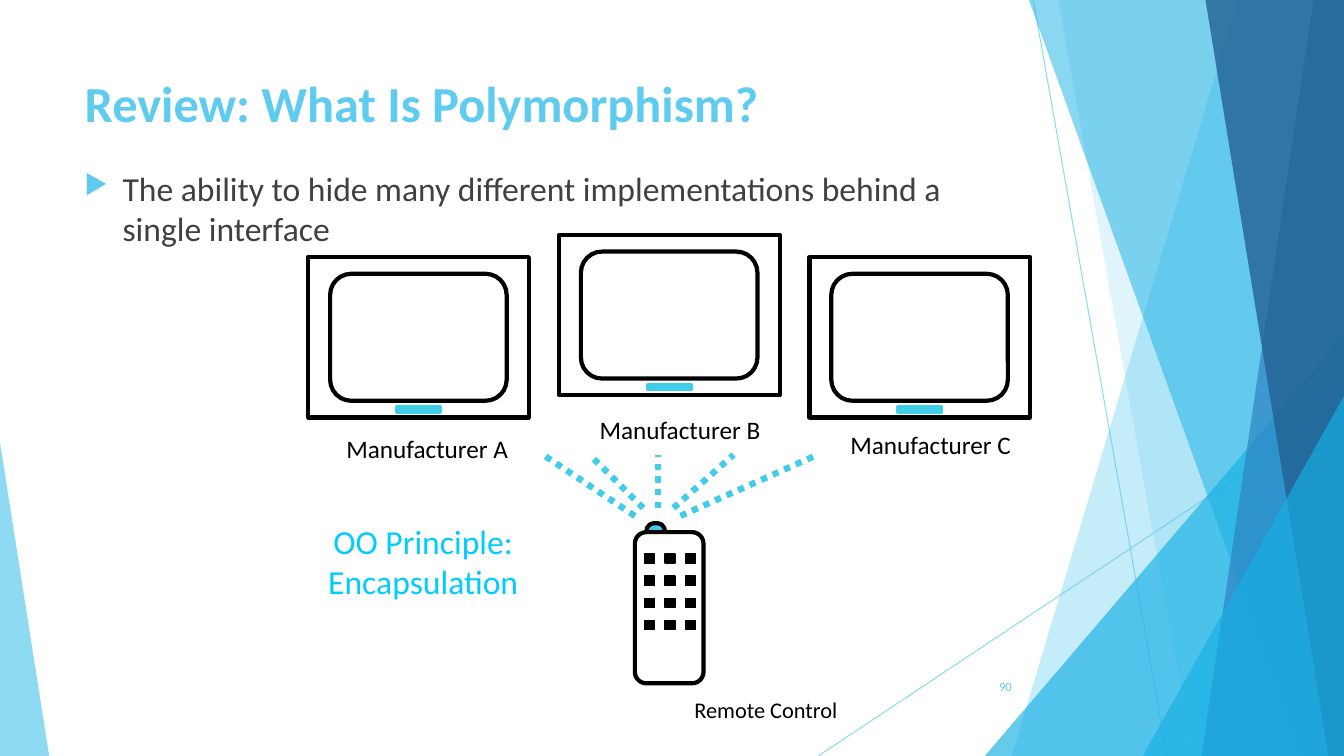
from lxml import etree
from pptx import Presentation
from pptx.dml.color import RGBColor
from pptx.enum.dml import MSO_LINE
from pptx.enum.shapes import MSO_CONNECTOR, MSO_SHAPE
from pptx.enum.text import MSO_ANCHOR, MSO_AUTO_SIZE, PP_ALIGN
from pptx.oxml.ns import qn
from pptx.util import Cm, Pt

RECT, ROUND = MSO_SHAPE.RECTANGLE, MSO_SHAPE.ROUNDED_RECTANGLE
TRIANGLE, BRACKET = MSO_SHAPE.ISOSCELES_TRIANGLE, MSO_SHAPE.RIGHT_BRACKET
LEFT, CENTER, RIGHT = PP_ALIGN.LEFT, PP_ALIGN.CENTER, PP_ALIGN.RIGHT
TOP, MIDDLE = MSO_ANCHOR.TOP, MSO_ANCHOR.MIDDLE
SOLID, DOTTED = MSO_LINE.SOLID, MSO_LINE.ROUND_DOT

FONT = "Calibri"
SKY, AZURE, CYAN, BLACK = "5FCBEF", "17B0E4", "3FCDE7", "000000"
W, H = 33.87, 19.05
rgb = RGBColor.from_string


def paint(sp, fill=None, line=None, width=0, alpha=100):
    """Set the fill, outline and opacity of a shape."""
    sp.shadow.inherit = False
    if fill:
        sp.fill.solid()
        sp.fill.fore_color.rgb = rgb(fill)
    else:
        sp.fill.background()
    if line:
        sp.line.color.rgb = rgb(line)
        sp.line.width = Pt(width)
    else:
        sp.line.fill.background()
    if alpha < 100:
        for color in sp.element.spPr.iter(qn("a:srgbClr")):
            etree.SubElement(color, qn("a:alpha"), val=str(alpha * 1000))
    return sp


def add_line(ends, color, width, dash, alpha=100):
    """Draw a straight line between two points in cm."""
    c = s.shapes.add_connector(MSO_CONNECTOR.STRAIGHT, *[Cm(v) for v in ends])
    c.line.color.rgb = rgb(color)
    c.line.width = Pt(width)
    c.line.dash_style = dash
    if alpha < 100:
        for clr in c.element.spPr.iter(qn("a:srgbClr")):
            etree.SubElement(clr, qn("a:alpha"), val=str(alpha * 1000))
    etree.SubElement(c.element.spPr, qn("a:effectLst"))


prs = Presentation()
prs.slide_width, prs.slide_height = Cm(W), Cm(H)
s = prs.slides.add_slide(prs.slide_layouts[5])

# Background facets: strips are (top x, bottom x), triangles (x, y, w, h, apex)
for ends in [(26.04, 0, 29.41, H), (W, 10.24, 20.62, H)]:
    add_line(ends, SKY, 0.75, SOLID, 70)

facets = [
    ((31.19, 25.5), SKY, 36),
    ((26.67, 30.05), SKY, 20),
    ((24.82, 8.46, 9.05, 10.59, 1), AZURE, 66),
    ((25.93, 32.79), AZURE, 50),
    ((33.1, 30.28), "2E83C3", 70),
    ((30.38, 33.48), "226292", 80),
    ((28.8, 9.98, 5.07, 9.07, 1), AZURE, 66),
    ((0, 11.15, 1.24, 7.9, 0), SKY, 70),
]
for geometry, color, alpha in facets:
    if len(geometry) == 2:
        top_x, bottom_x = geometry
        builder = s.shapes.build_freeform(Cm(top_x), 0)
        corners = [(W, 0), (W, H), (bottom_x, H)]
        builder.add_line_segments([(Cm(x), Cm(y)) for x, y in corners])
        sp = builder.convert_to_shape()
    else:
        *box, apex = geometry
        sp = s.shapes.add_shape(TRIANGLE, *[Cm(v) for v in box])
        sp.adjustments[0] = apex
    paint(sp, color, alpha=alpha)

# Title
title = s.shapes.title
title.left, title.top, title.width, title.height = Cm(1.88), Cm(1.7), Cm(23.88), Cm(3.66)
tf = title.text_frame
tf.auto_size = MSO_AUTO_SIZE.NONE
tf.vertical_anchor = TOP
p = tf.paragraphs[0]
p.alignment = LEFT
r = p.add_run()
r.text = "Review: What Is Polymorphism?"
r.font.name, r.font.size, r.font.bold = FONT, Pt(36), True
r.font.color.rgb = rgb(SKY)

# Definition bullet
tf = s.shapes.add_textbox(Cm(1.88), Cm(4.11), Cm(23.88), Cm(12.67)).text_frame
tf.word_wrap = True
p = tf.paragraphs[0]
pPr = p._p.get_or_add_pPr()
pPr.set("marL", str(Cm(0.96)))
pPr.set("indent", str(Cm(-0.96)))
bullet_color = etree.SubElement(pPr, qn("a:buClr"))
etree.SubElement(bullet_color, qn("a:srgbClr"), val=SKY)
etree.SubElement(pPr, qn("a:buSzPct"), val="80000")
etree.SubElement(pPr, qn("a:buChar"), char="▶")
r = p.add_run()
r.text = "The ability to hide many different implementations behind a single interface"
r.font.name, r.font.size = FONT, Pt(24)
r.font.color.rgb = rgb("404040")

# Remote control: emitter, body and keypad
sp = paint(s.shapes.add_shape(BRACKET, Cm(16.41), Cm(13.06), Cm(0.23), Cm(0.48)), CYAN, BLACK, 3)
sp.rotation = 270
sp.adjustments[0] = 0.78
paint(s.shapes.add_shape(ROUND, Cm(16), Cm(13.41), Cm(1.73), Cm(3.81)), None, BLACK, 3)
for row in range(4):
    for col in range(3):
        x, y = 16.24 + 0.52 * col, 13.96 + 0.56 * row
        paint(s.shapes.add_shape(RECT, Cm(x), Cm(y), Cm(0.25), Cm(0.23)), BLACK, BLACK, 1)

# Televisions: case, screen and indicator, placed from the case corner
tv_parts = [
    (RECT, 0, 0, 5.56, 4.04, None, BLACK, 3),
    (ROUND, 0.55, 0.42, 4.45, 3.2, None, BLACK, 3),
    (RECT, 2.22, 3.76, 1.12, 0.15, CYAN, CYAN, 2),
]
for tv_x, tv_y in [(7.77, 6.48), (14.09, 5.92), (20.4, 6.48)]:
    for kind, dx, dy, w, h, fill, line, width in tv_parts:
        sp = s.shapes.add_shape(kind, Cm(tv_x + dx), Cm(tv_y + dy), Cm(w), Cm(h))
        paint(sp, fill, line, width)

# Signal rays
rays = [
    (16, 13, 13.69), (16.59, 12.8, 16.59), (17.15, 13, 20.6),
    (16.21, 12.8, 14.86), (16.97, 12.8, 18.49),
]
for x, y, end_x in rays:
    add_line((x, y, end_x, 11.46), CYAN, 4.5, DOTTED)

# Labels, principle and page number
labels = [
    ("Manufacturer A", 8.48, 10.8, 4.62, 1.02, 18, BLACK, LEFT, TOP),
    ("Manufacturer B", 14.86, 10.31, 4.62, 1.02, 18, BLACK, LEFT, TOP),
    ("Manufacturer C", 21.18, 10.69, 4.6, 1.02, 18, BLACK, LEFT, TOP),
    ("OO Principle:\nEncapsulation", 6.17, 13, 8.99, 2.36, 24, "00CCFF", CENTER, TOP),
    ("Remote Control", 17.25, 17.42, 4.17, 0.94, 16, BLACK, LEFT, TOP),
    ("90", 23.85, 16.79, 1.9, 1.02, 9, SKY, RIGHT, MIDDLE),
]
for text, x, y, w, h, size, color, align, anchor in labels:
    tf = s.shapes.add_textbox(Cm(x), Cm(y), Cm(w), Cm(h)).text_frame
    tf.word_wrap = align != LEFT
    tf.vertical_anchor = anchor
    p = tf.paragraphs[0]
    p.alignment = align
    for i, part in enumerate(text.split("\n")):
        if i:
            p.add_line_break()
        r = p.add_run()
        r.text = part
        r.font.name, r.font.size = FONT, Pt(size)
        r.font.color.rgb = rgb(color)

prs.save("out.pptx")
